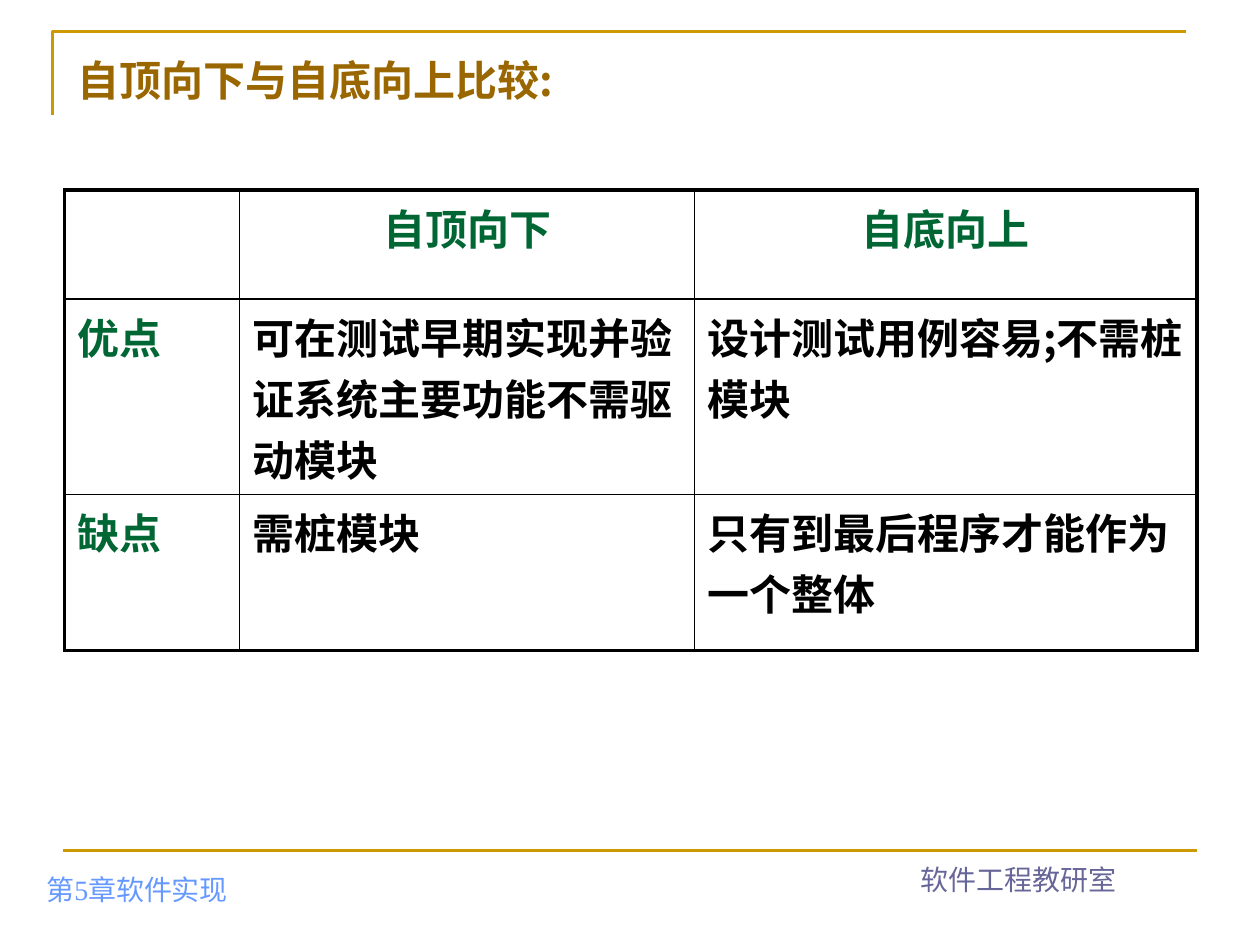
"""Build a slide that compares top-down and bottom-up integration in a table."""
from lxml import etree
from pptx import Presentation
from pptx.dml.color import RGBColor
from pptx.enum.shapes import MSO_CONNECTOR
from pptx.enum.text import MSO_ANCHOR, MSO_AUTO_SIZE, PP_ALIGN
from pptx.oxml.ns import qn
from pptx.util import Pt

STRAIGHT = MSO_CONNECTOR.STRAIGHT
TOP, BOTTOM = MSO_ANCHOR.TOP, MSO_ANCHOR.BOTTOM
LEFT, CENTER = PP_ALIGN.LEFT, PP_ALIGN.CENTER
NO_FIT = MSO_AUTO_SIZE.NONE

GOLD = RGBColor(0xCC, 0x99, 0x00)
BROWN = RGBColor(0x99, 0x66, 0x00)
GREEN = RGBColor(0x00, 0x66, 0x33)
BLACK = RGBColor(0x00, 0x00, 0x00)
SKY = RGBColor(0x66, 0x99, 0xFF)
SLATE = RGBColor(0x66, 0x66, 0x99)
CJK_FONT = "Noto Sans CJK SC"
FOOTER_FONT = "Times New Roman"


def write_bold(frame, text, color, align):
    frame.text = text
    paragraph = frame.paragraphs[0]
    paragraph.alignment = align
    for run in paragraph.runs:
        run.font.size, run.font.bold, run.font.name = Pt(24), True, CJK_FONT
        run.font.color.rgb = color
        etree.SubElement(run.font._element, qn("a:ea"), typeface=CJK_FONT)


def add_border(cell, side, width):
    border = etree.SubElement(cell._tc.get_or_add_tcPr(), qn(f"a:ln{side}"), w=str(Pt(width)))
    fill = etree.SubElement(border, qn("a:solidFill"))
    etree.SubElement(fill, qn("a:srgbClr"), val=str(BLACK))


prs = Presentation()
prs.slide_width, prs.slide_height = Pt(720), Pt(540)
slide = prs.slides.add_slide(prs.slide_layouts[5])

builder = slide.shapes.build_freeform(Pt(30), Pt(66))
builder.add_line_segments([(Pt(30), Pt(18)), (Pt(678), Pt(18))], close=False)
title_corner = builder.convert_to_shape()
title_corner.fill.background()
title_corner.shadow.inherit = False

footer_rule = slide.shapes.add_connector(STRAIGHT, Pt(36), Pt(486), Pt(684), Pt(486))
etree.SubElement(footer_rule._element.spPr, qn("a:effectLst"))
for rule in (title_corner, footer_rule):
    rule.line.color.rgb = GOLD
    rule.line.width = Pt(1.5)

footers = [
    ("第5章软件实现", 19.4, 485.3, 226.8, SKY, LEFT),
    ("软件工程教研室", 468, 479.5, 228.2, SLATE, CENTER),
]
for text, left, top, width, color, align in footers:
    footer = slide.shapes.add_textbox(Pt(left), Pt(top), Pt(width), Pt(36)).text_frame
    footer.word_wrap = True
    footer.vertical_anchor = BOTTOM
    footer.text = text
    paragraph = footer.paragraphs[0]
    paragraph.alignment = align
    font = paragraph.runs[0].font
    font.size, font.name = Pt(16), FOOTER_FONT
    font.color.rgb = color

title = slide.shapes.title
title.left, title.top, title.width, title.height = Pt(37), Pt(27.4), Pt(635), Pt(44.6)
title.text_frame.auto_size = NO_FIT
title.text_frame.vertical_anchor = TOP
write_bold(title.text_frame, "自顶向下与自底向上比较:", BROWN, LEFT)

rows = [
    ["", "自顶向下", "自底向上"],
    ["优点", "可在测试早期实现并验证系统主要功能不需驱动模块", "设计测试用例容易;不需桩模块"],
    ["缺点", "需桩模块", "只有到最后程序才能作为一个整体"],
]
column_widths = [100, 260, 287]
row_heights = [62.4, 111.6, 89]
comparison = slide.shapes.add_table(
    3, 3, Pt(37), Pt(108.6), Pt(sum(column_widths)), Pt(sum(row_heights))
).table
comparison.first_row = comparison.horz_banding = False
for column, width in zip(comparison.columns, column_widths):
    column.width = Pt(width)
for row, height in zip(comparison.rows, row_heights):
    row.height = Pt(height)

for r, texts in enumerate(rows):
    for c, text in enumerate(texts):
        cell = comparison.cell(r, c)
        is_header = r == 0 or c == 0
        write_bold(cell.text_frame, text, GREEN if is_header else BLACK,
                   CENTER if r == 0 else LEFT)
        outer_sides = {"L": c == 0, "R": c == 2, "T": r == 0, "B": r == 2}
        for side, is_outer in outer_sides.items():
            add_border(cell, side, 2.25 if is_outer else 1)
        cell.fill.background()

prs.save("out.pptx")
